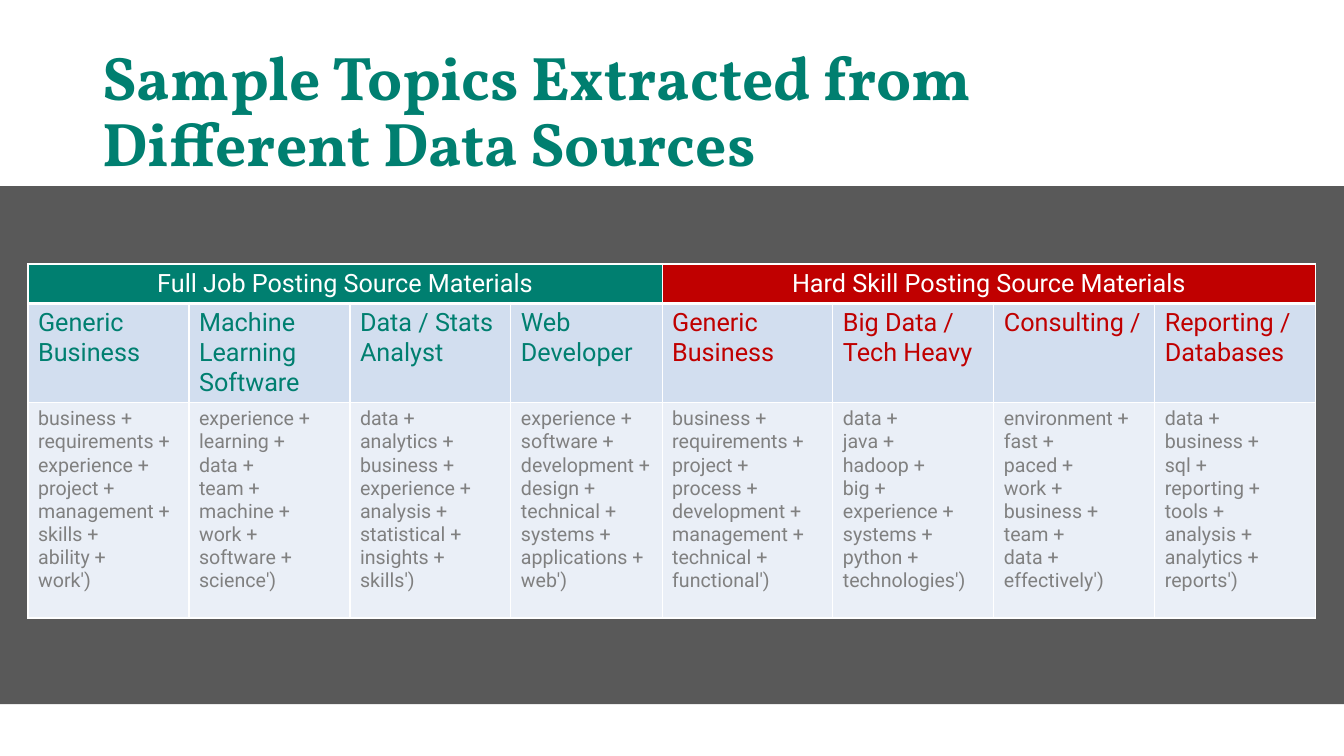
from lxml import etree
from pptx import Presentation
from pptx.dml.color import RGBColor
from pptx.enum.shapes import MSO_SHAPE
from pptx.enum.text import MSO_ANCHOR, MSO_AUTO_SIZE, PP_ALIGN
from pptx.oxml.ns import qn
from pptx.util import Pt

RECTANGLE = MSO_SHAPE.RECTANGLE
MIDDLE = MSO_ANCHOR.MIDDLE
NO_AUTOFIT = MSO_AUTO_SIZE.NONE
LEFT, CENTER = PP_ALIGN.LEFT, PP_ALIGN.CENTER
TITLE_ONLY = 5

COLORS = {
    "green": "007F70", "red": "C00000", "white": "FFFFFF", "band": "595959",
    "topic": "D2DEEF", "words": "EAEFF7", "gray": "808080",
}
COLUMN_WIDTHS = [115, 115, 115, 108, 122, 115, 115, 115]
ROW_HEIGHTS = [28, 28, 154]

# Each source: heading, colour, and (topic, words) pairs; a line is a paragraph
SOURCES = [
    ("Full Job Posting Source Materials", "green", [
        ("Generic\nBusiness",
         "business + requirements + experience + project + management + skills +\n"
         "ability +\nwork')"),
        ("Machine Learning Software",
         "experience + learning +\ndata +\nteam +\nmachine +\nwork +\n"
         "software + science')"),
        ("Data / Stats\nAnalyst",
         "data +\nanalytics + business + experience + analysis + statistical + "
         "insights + skills')"),
        ("Web Developer",
         "experience + software + development + design + technical + systems + "
         "applications + web')"),
    ]),
    ("Hard Skill Posting Source Materials", "red", [
        ("Generic\nBusiness",
         "business + requirements + project + process + development + "
         "management + technical + functional')"),
        ("Big Data / Tech Heavy",
         "data +\njava +\nhadoop +\nbig + experience + systems + python + "
         "technologies')"),
        ("Consulting /",
         "environment + fast +\npaced +\nwork + business + team +\n"
         "data + effectively')"),
        ("Reporting / Databases",
         "data +\nbusiness +\nsql +\nreporting + tools +\n"
         "analysis + analytics + reports')"),
    ]),
]


def rgb(color):
    return RGBColor.from_string(COLORS[color])


class SlideBuilder:
    title_font = "Vollkorn"
    body_font = "Roboto"

    def __init__(self, presentation):
        self.slide = presentation.slides.add_slide(presentation.slide_layouts[TITLE_ONLY])

    def add_run(self, paragraph, text, font, size, color, bold=False):
        run = paragraph.add_run()
        run.text = text
        run.font.name = font
        run.font.size = Pt(size)
        run.font.bold = bold
        run.font.color.rgb = rgb(color)

    def title(self, text, left, top, width, height):
        shape = self.slide.shapes.title
        shape.left, shape.top, shape.width, shape.height = map(Pt, (left, top, width, height))
        frame = shape.text_frame
        frame.word_wrap = True
        frame.auto_size = NO_AUTOFIT
        frame.vertical_anchor = MIDDLE
        paragraph = frame.paragraphs[0]
        paragraph.alignment = LEFT
        paragraph.line_spacing = 0.9
        self.add_run(paragraph, text, self.title_font, 44, "green", bold=True)

    def rectangle(self, left, top, width, height, fill):
        shape = self.slide.shapes.add_shape(RECTANGLE, *map(Pt, (left, top, width, height)))
        shape.shadow.inherit = False
        shape.fill.solid()
        shape.fill.fore_color.rgb = rgb(fill)
        shape.line.fill.background()

    def table(self, left, top, widths, heights):
        table = self.slide.shapes.add_table(
            len(heights), len(widths), Pt(left), Pt(top), Pt(sum(widths)), Pt(sum(heights))).table
        for column, width in zip(table.columns, widths):
            column.width = Pt(width)
        for row, height in zip(table.rows, heights):
            row.height = Pt(height)
        return table

    def cell_style(self, cell, fill, top=1, bottom=1):
        properties = cell._tc.get_or_add_tcPr()
        for side, width in (("L", 1), ("R", 1), ("T", top), ("B", bottom)):
            line = etree.SubElement(properties, qn("a:ln" + side), w=str(Pt(width)))
            solid = etree.SubElement(line, qn("a:solidFill"))
            etree.SubElement(solid, qn("a:srgbClr"), val=COLORS["white"])
        cell.fill.solid()
        cell.fill.fore_color.rgb = rgb(fill)

    def cell_text(self, cell, text, size, color, alignment=LEFT):
        frame = cell.text_frame
        for index, line in enumerate(text.split("\n")):
            paragraph = frame.add_paragraph() if index else frame.paragraphs[0]
            paragraph.alignment = alignment
            self.add_run(paragraph, line, self.body_font, size, color)


def main():
    presentation = Presentation()
    presentation.slide_width, presentation.slide_height = Pt(960), Pt(540)
    builder = SlideBuilder(presentation)

    # Title and dark band
    builder.title("Sample Topics Extracted from Different Data Sources", 66, 28.8, 828, 104.4)
    builder.rectangle(0, 133, 960, 370, "band")

    # Topic table
    table = builder.table(20, 188.5, COLUMN_WIDTHS, ROW_HEIGHTS)
    first = 0
    for heading, color, topics in SOURCES:
        for column, (topic, words) in enumerate(topics, first):
            heading_cell, topic_cell, words_cell = (table.cell(row, column) for row in range(3))
            builder.cell_style(heading_cell, color, bottom=3)
            builder.cell_style(topic_cell, "topic", top=3)
            builder.cell_style(words_cell, "words")
            builder.cell_text(topic_cell, topic, 18, color)
            builder.cell_text(words_cell, words, 14, "gray")
        last = first + len(topics) - 1
        table.cell(0, first).merge(table.cell(0, last))
        builder.cell_text(table.cell(0, first), heading, 18, "white", CENTER)
        first = last + 1

    presentation.save("out.pptx")


if __name__ == "__main__":
    main()
